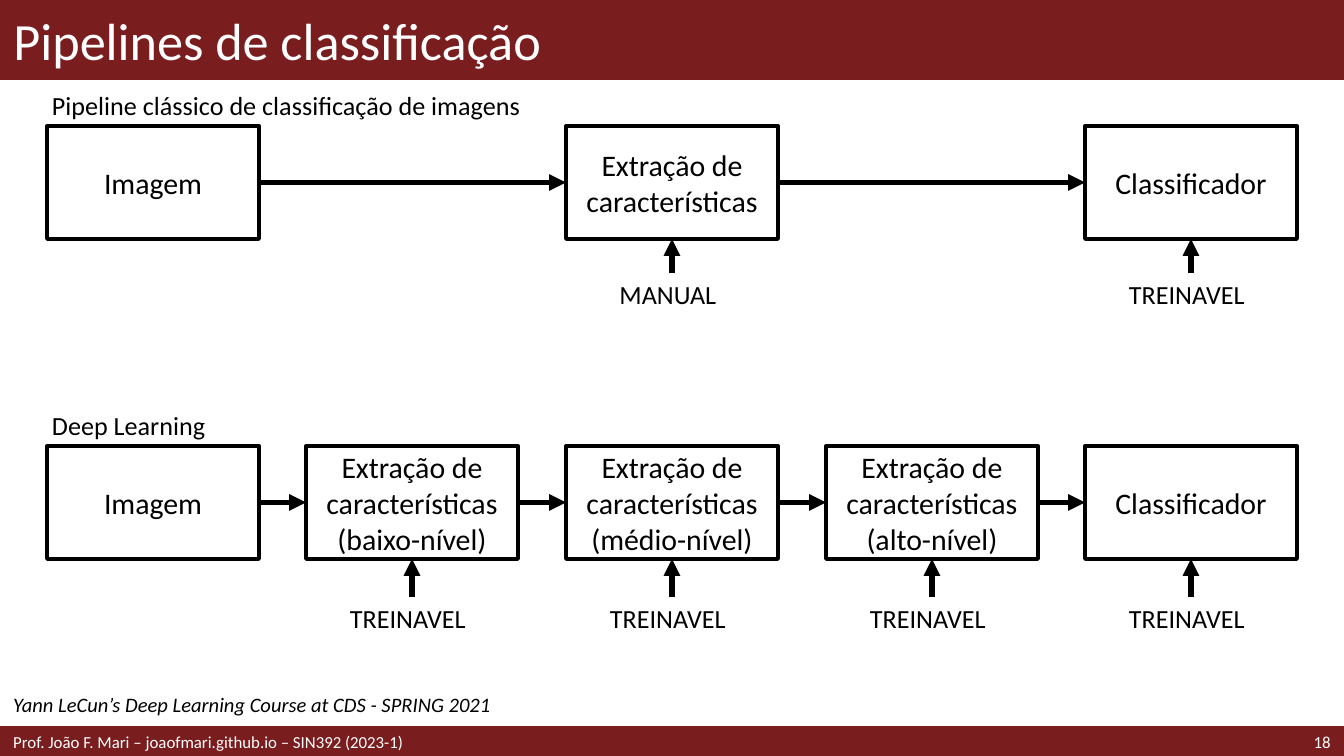
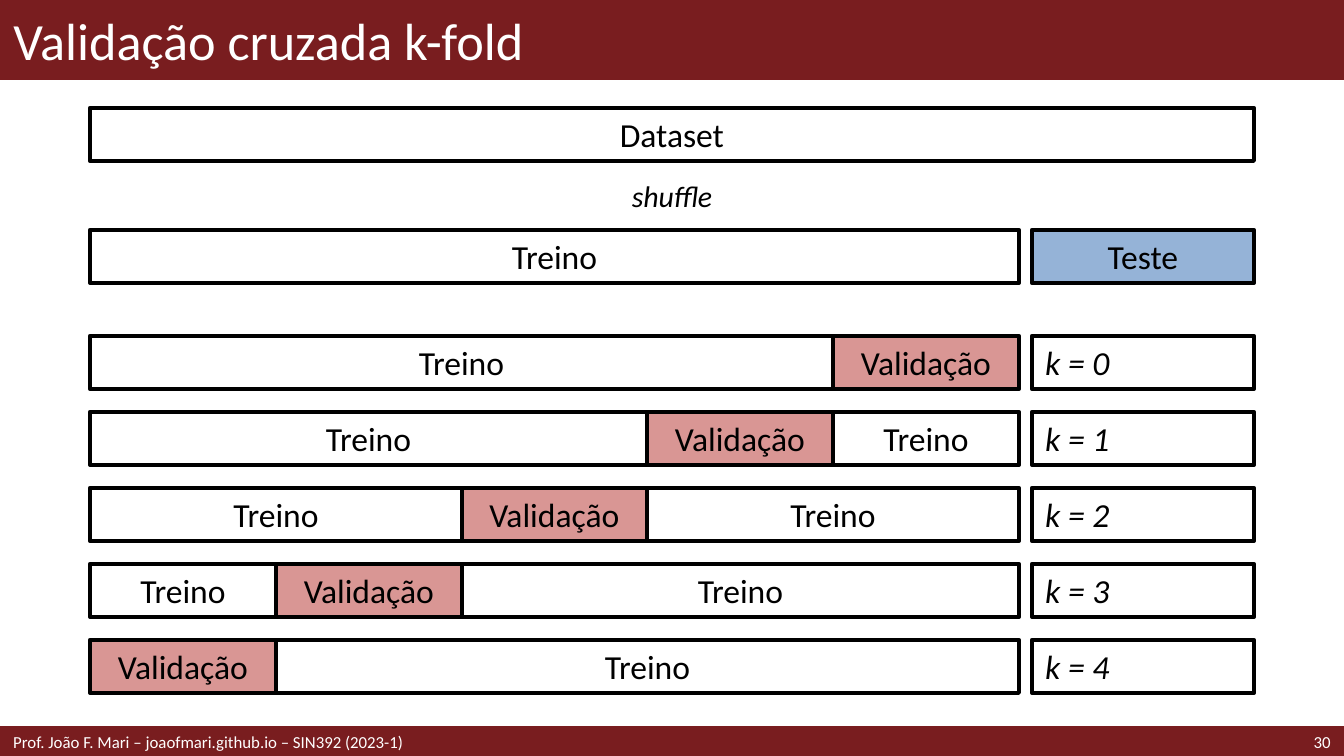
import pptx
import pptx.util
import pptx.dml.color
import pptx.enum.shapes
import pptx.enum.text
import pptx.oxml.ns
import lxml.etree

PX = 914400 / 134.4
W, H = 1344, 756
RECT = pptx.enum.shapes.MSO_SHAPE.RECTANGLE
STRAIGHT = pptx.enum.shapes.MSO_CONNECTOR.STRAIGHT
LEFT, CENTER, RIGHT = (pptx.enum.text.PP_ALIGN.LEFT, pptx.enum.text.PP_ALIGN.CENTER,
                       pptx.enum.text.PP_ALIGN.RIGHT)
TOP, MIDDLE = pptx.enum.text.MSO_ANCHOR.TOP, pptx.enum.text.MSO_ANCHOR.MIDDLE

# Theme: colours, and type as size, colour, italic
THEME = {
    "font": "Calibri",
    "band": "791D1F", "ink": "000000", "test": "95B3D7", "validation": "D99694",
    "title": (28, "FFFFFF", False),
    "footer": (9, "FFFFFF", False),
    "label": (14, "000000", False),
    "step": (16, "000000", False),
    "note": (16, "000000", True),
    "source": (11, "000000", True),
    "bar": (18, "000000", False),
    "fold": (18, "000000", True),
}


def put(sp, at, text="", style="bar", al=CENTER, fill=None, line=None, pt=1, **frame):
    """Place a shape, paint it and write its text."""
    for name, v in zip(("left", "top", "width", "height"), at):
        setattr(sp, name, round(v * PX))
    for part, colour in ((sp.fill, fill), (sp.line.fill, line)):
        if colour:
            part.solid()
            part.fore_color.rgb = pptx.dml.color.RGBColor.from_string(colour)
        else:
            part.background()
    if line:
        sp.line.width = pptx.util.Pt(pt)
    if hasattr(sp, "shadow"):
        sp.shadow.inherit = False
    if not text:
        return sp
    tf = sp.text_frame
    tf.text = text
    tf_format = {"word_wrap": True, "vertical_anchor": MIDDLE,
                 "auto_size": pptx.enum.text.MSO_AUTO_SIZE.NONE, **frame}
    for name, v in tf_format.items():
        setattr(tf, name, v)
    size, colour, italic = THEME[style]
    for p in tf.paragraphs:
        p.alignment = al
        for r in p.runs:
            r_format = {"name": THEME["font"], "size": pptx.util.Pt(size), "italic": italic}
            for name, v in r_format.items():
                setattr(r.font, name, v)
            r.font.color.rgb = pptx.dml.color.RGBColor.from_string(colour)
    return sp


def arrow(s, start, start_site, end, end_site):
    """Join two shapes; sites are 0 top, 1 left, 2 bottom, 3 right."""
    cx = s.shapes.add_connector(STRAIGHT, 0, 0, 0, 0)
    cx.begin_connect(start, start_site)
    cx.end_connect(end, end_site)
    cx.line.color.rgb = pptx.dml.color.RGBColor.from_string(THEME["ink"])
    cx.line.width = pptx.util.Pt(3)
    qn = pptx.oxml.ns.qn
    sp_pr = cx.element.find(qn("p:spPr"))
    lxml.etree.SubElement(sp_pr.find(qn("a:ln")), qn("a:tailEnd"), type="triangle")
    lxml.etree.SubElement(sp_pr, qn("a:effectLst"))


prs = pptx.Presentation()
prs.slide_width, prs.slide_height = round(W * PX), round(H * PX)

# Bands, title and footer of every slide
slides = []
for title, number in (("Pipelines de classificação", "18"),
                      ("Validação cruzada k-fold", "30")):
    s = prs.slides.add_slide(prs.slide_layouts[5])
    for y, h, pt in ((0, 79, 1), (728, 28, 2)):
        put(s.shapes.add_shape(RECT, 0, 0, 0, 0), (0, y, W, h),
            fill=THEME["band"], line=THEME["band"], pt=pt)
    sp = put(s.shapes.title, (0, 0, W, 79), title, "title", LEFT)
    sp.element.getparent().append(sp.element)
    for x, w, text, al in (
            (1191, 153, number, RIGHT),
            (0, 926, "Prof. João F. Mari – joaofmari.github.io – SIN392 (2023-1)", LEFT)):
        put(s.shapes.add_textbox(0, 0, 0, 0), (x, 728, w, 28), text, "footer", al)
    slides.append(s)

# Slide 1: two pipelines on one grid of five columns
s = slides[0]
MARGIN, BOX_W, BOX_H, LABEL_H = 47, 212, 113, 42
PITCH = (W - 2 * MARGIN - BOX_W) / 4
INSET = {"margin_left": round(5 * PX)}
FEATURES = "Extração de características"
pipelines = (
    ("Pipeline clássico de classificação de imagens", 126, 273, (
        (0, "Imagem", ""),
        (2, FEATURES, "MANUAL"),
        (4, "Classificador", "TREINAVEL"))),
    ("Deep Learning", 446, 597, (
        (0, "Imagem", ""),
        (1, FEATURES + "\n(baixo-nível)", "TREINAVEL"),
        (2, FEATURES + "\n(médio-nível)", "TREINAVEL"),
        (3, FEATURES + "\n(alto-nível)", "TREINAVEL"),
        (4, "Classificador", "TREINAVEL"))),
)
for caption, top, label_top, steps in pipelines:
    put(s.shapes.add_textbox(0, 0, 0, 0), (MARGIN, top - LABEL_H, 740, LABEL_H),
        caption, "label", LEFT, **INSET)
    previous = None
    for column, step, mode in steps:
        x = round(MARGIN + column * PITCH)
        box = put(s.shapes.add_shape(RECT, 0, 0, 0, 0), (x, top, BOX_W, BOX_H),
                  step, "step", line=THEME["ink"], pt=2)
        if previous:
            arrow(s, previous, 3, box, 1)
        if mode:
            label = put(s.shapes.add_textbox(0, 0, 0, 0), (x, label_top, BOX_W, LABEL_H),
                        mode, "label", **INSET)
            arrow(s, label, 0, box, 2)
        previous = box
put(s.shapes.add_textbox(0, 0, 0, 0), (0, 685, 672, 39),
    "Yann LeCun’s Deep Learning Course at CDS - SPRING 2021", "source", LEFT,
    vertical_anchor=TOP)

# Slide 2: the data set, its split, and one row per fold
s = slides[1]
X, TRAIN_W, TEST_X, TEST_W, BAR_H = 90, 929, 1032, 222, 53
FOLDS, FOLD_TOP, FOLD_PITCH = 5, 336, 76
bars = [
    (X, 108, TEST_X + TEST_W - X, "Dataset", "bar", CENTER, None),
    (X, 230, TRAIN_W, "Treino", "bar", CENTER, None),
    (TEST_X, 230, TEST_W, "Teste", "bar", CENTER, THEME["test"]),
]
edges = [X + round(TRAIN_W * i / FOLDS) for i in range(FOLDS + 1)]
for k in range(FOLDS):
    y = FOLD_TOP + k * FOLD_PITCH
    held = FOLDS - 1 - k  # the validation part moves left at each fold
    for a, b, text, fill in ((0, held, "Treino", None),
                             (held + 1, FOLDS, "Treino", None),
                             (held, held + 1, "Validação", THEME["validation"])):
        if a < b:
            bars.append((edges[a], y, edges[b] - edges[a], text, "bar", CENTER, fill))
    bars.append((TEST_X, y, TEST_W, f"k = {k}", "fold", LEFT, None))
for x, y, w, text, style, al, fill in bars:
    put(s.shapes.add_shape(RECT, 0, 0, 0, 0), (x, y, w, BAR_H), text, style, al,
        fill=fill, line=THEME["ink"], pt=2.25)
put(s.shapes.add_textbox(0, 0, 0, 0), (617, 171, 110, 50), "shuffle", "note",
    word_wrap=False, vertical_anchor=TOP)

prs.save("out.pptx")
